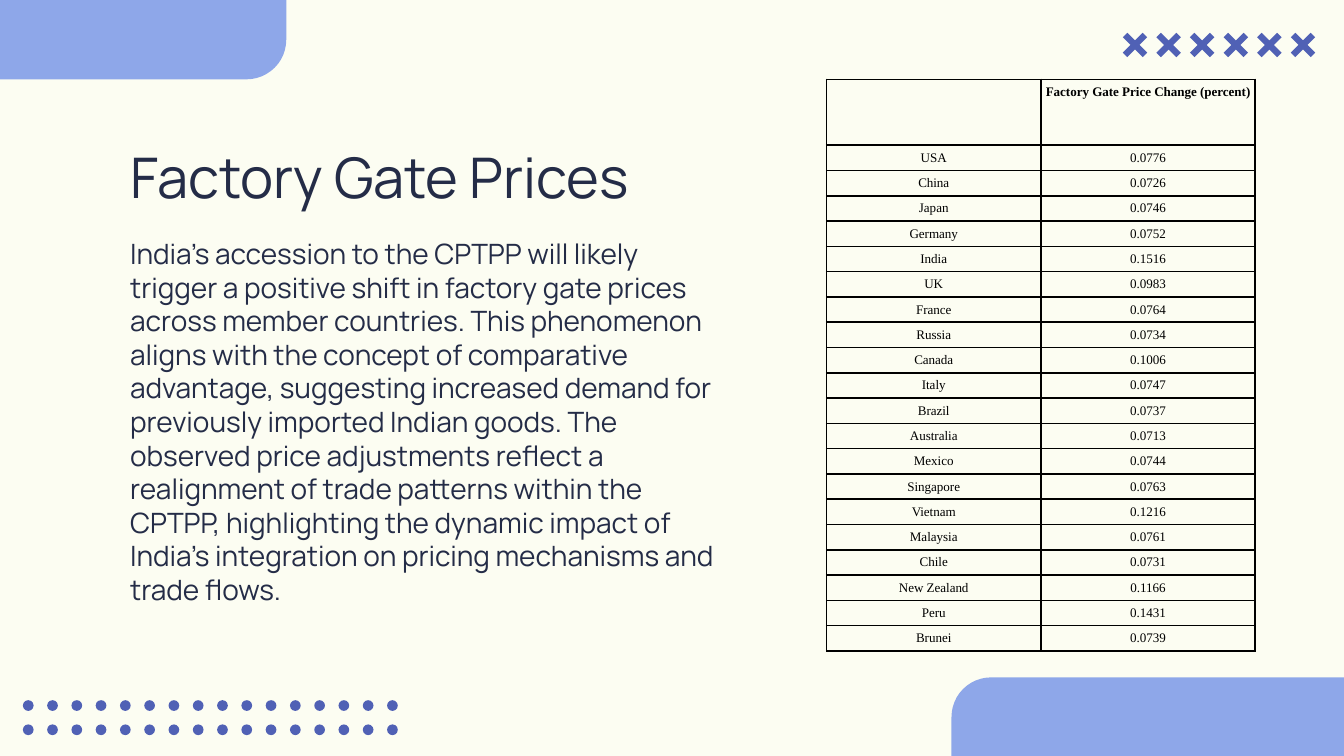
import pptx
import pptx.util
import pptx.dml.color
import pptx.enum.shapes
import pptx.enum.text
from lxml import etree

Inches, Pt = pptx.util.Inches, pptx.util.Pt
MSO = pptx.enum.shapes.MSO_SHAPE
COLORS = {"bg": "FCFDF2", "panel": "8EA7E9", "accent": "5061B5",
          "text": "242C47", "grid": "000000"}
TITLE = {"name": "Manrope", "size": Pt(30), "bold": False}
BODY = {"name": "Manrope", "size": Pt(15), "bold": False}
HEADER = {"name": "Times New Roman", "size": Pt(7), "bold": True}
CELL = {"name": "Times New Roman", "size": Pt(7), "bold": False}

BODY_TEXT = (
    "India's accession to the CPTPP will likely trigger a positive shift in factory "
    "gate prices across member countries. This phenomenon aligns with the concept of "
    "comparative advantage, suggesting increased demand for previously imported Indian "
    "goods. The observed price adjustments reflect a realignment of trade patterns "
    "within the CPTPP, highlighting the dynamic impact of India's integration on "
    "pricing mechanisms and trade flows.")
PRICES = [
    ("", "Factory Gate Price Change (percent)"),
    ("USA", "0.0776"), ("China", "0.0726"), ("Japan", "0.0746"),
    ("Germany", "0.0752"), ("India", "0.1516"), ("UK", "0.0983"),
    ("France", "0.0764"), ("Russia", "0.0734"), ("Canada", "0.1006"),
    ("Italy", "0.0747"), ("Brazil", "0.0737"), ("Australia", "0.0713"),
    ("Mexico", "0.0744"), ("Singapore", "0.0763"), ("Vietnam", "0.1216"),
    ("Malaysia", "0.0761"), ("Chile", "0.0731"), ("New Zealand", "0.1166"),
    ("Peru", "0.1431"), ("Brunei", "0.0739"),
]


def rgb(key):
    return pptx.dml.color.RGBColor.from_string(COLORS[key])


def set_font(font, values, color):
    for name, value in values.items():
        setattr(font, name, value)
    font.color.rgb = rgb(color)


def add_shape(s, kind, x, y, w, h, color, rotation=0, adj=None):
    sp = s.shapes.add_shape(kind, Inches(x), Inches(y), Inches(w), Inches(h))
    sp.shadow.inherit = False
    sp.fill.solid()
    sp.fill.fore_color.rgb = rgb(color)
    sp.line.fill.background()
    sp.rotation = rotation
    if adj is not None:
        sp.adjustments[0] = adj


def add_corner_panel(s, x, y, w, h, rotation):
    # A quarter turn swaps width and height about the centre of the box
    add_shape(s, MSO.ROUND_1_RECTANGLE, x + (w - h) / 2, y + (h - w) / 2, h, w,
              "panel", rotation, 0.5)


def add_marks(s, x, y, w, h, kind, size, cols, rows=1, **look):
    step_x = (w - size) / (cols - 1)
    step_y = (h - size) / max(rows - 1, 1)
    for row in range(rows):
        for col in range(cols):
            add_shape(s, kind, x + col * step_x, y + row * step_y, size, size,
                      "accent", **look)


def add_text(s, x, y, w, h):
    tf = s.shapes.add_textbox(Inches(x), Inches(y), Inches(w), Inches(h)).text_frame
    tf.word_wrap = True
    for side in ("left", "top", "right", "bottom"):
        setattr(tf, f"margin_{side}", Inches(0.1))
    for i, (text, font) in enumerate([("Factory Gate Prices", TITLE), (BODY_TEXT, BODY)]):
        p = tf.add_paragraph() if i else tf.paragraphs[0]
        if i:
            p.space_before = Pt(14.4)
        r = p.add_run()
        r.text = text
        set_font(r.font, font, "text")


def set_borders(cell, width):
    tc_pr = cell._tc.get_or_add_tcPr()
    ns = pptx.oxml.ns.qn
    for i, tag in enumerate(("a:lnL", "a:lnR", "a:lnT", "a:lnB")):
        ln = etree.Element(ns(tag), w=str(Pt(width)))
        fill = etree.SubElement(ln, ns("a:solidFill"))
        etree.SubElement(fill, ns("a:srgbClr"), val=COLORS["grid"])
        tc_pr.insert(i, ln)


def add_price_table(s, x, y, w, h):
    header_h = 0.49
    row_h = (h - header_h) / (len(PRICES) - 1)
    table = s.shapes.add_table(len(PRICES), 2, Inches(x), Inches(y),
                               Inches(w), Inches(h)).table
    table.horz_banding = False
    for col in table.columns:
        col.width = Inches(w / 2)
    for i, values in enumerate(PRICES):
        table.rows[i].height = Inches(row_h if i else header_h)
        for j, text in enumerate(values):
            cell = table.cell(i, j)
            cell.fill.background()
            set_borders(cell, 1)
            cell.margin_left = cell.margin_right = Pt(1.8 if i else 0)
            cell.margin_top = cell.margin_bottom = Pt(1.8)
            p = cell.text_frame.paragraphs[0]
            p.alignment = pptx.enum.text.PP_ALIGN.CENTER
            p.line_spacing = 1.15
            set_font(p.font, CELL if i else HEADER, "grid")
            if text:
                r = p.add_run()
                r.text = text
                set_font(r.font, CELL if i else HEADER, "grid")


def main():
    prs = pptx.Presentation()
    prs.slide_width = Inches(10)
    prs.slide_height = prs.slide_width * 9 // 16
    s = prs.slides.add_slide(prs.slide_layouts[6])
    s.background.fill.solid()
    s.background.fill.fore_color.rgb = rgb("bg")

    # Corner panels
    add_corner_panel(s, 0, 0, 2.13, 0.59, 90)
    add_corner_panel(s, 7.08, 5.04, 2.93, 0.59, 270)
    # Row of crosses and grid of dots
    add_marks(s, 8.34, 0.23, 1.46, 0.21, MSO.CROSS, 0.21, 6, rotation=45, adj=0.388)
    add_marks(s, 0.17, 5.21, 2.79, 0.26, MSO.OVAL, 0.08, 16, rows=2)
    # Title with body text, and price table
    add_text(s, 0.87, 0.96, 4.57, 4.05)
    add_price_table(s, 6.15, 0.59, 3.19, 4.26)

    prs.save("out.pptx")


if __name__ == "__main__":
    main()
